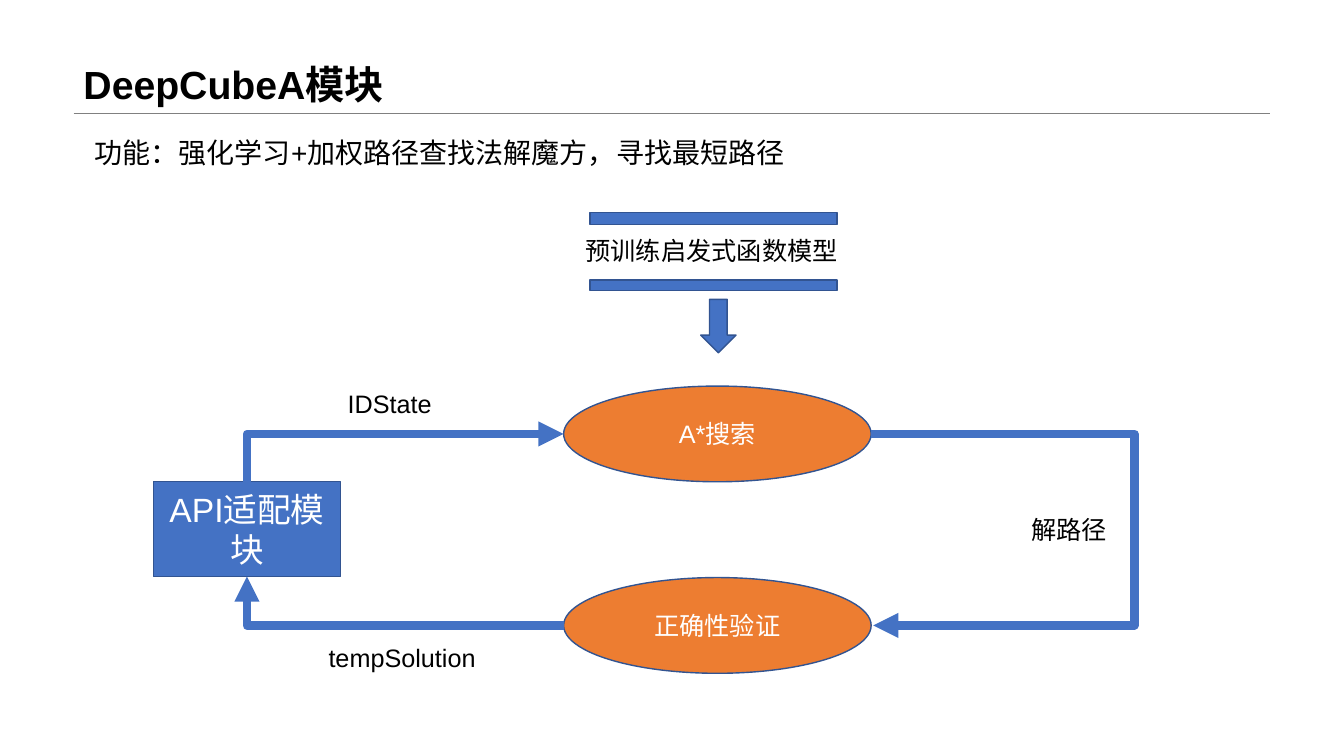
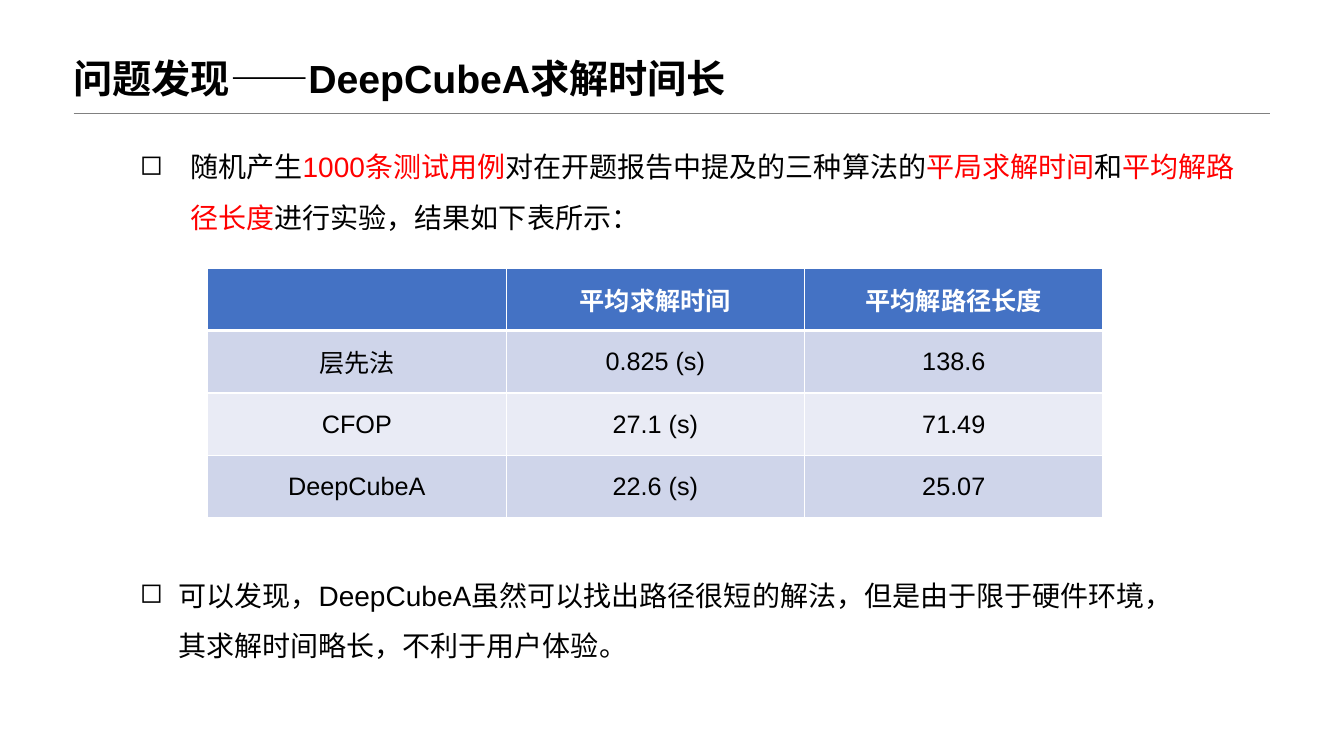
import pptx
import pptx.dml.color
import pptx.enum.shapes
import pptx.enum.text
import pptx.oxml
import pptx.oxml.ns
import pptx.util
import lxml.etree

Inches = pptx.util.Inches
Pt = pptx.util.Pt
SHAPE = pptx.enum.shapes.MSO_SHAPE
CONNECTOR = pptx.enum.shapes.MSO_CONNECTOR
ANCHOR = pptx.enum.text.MSO_ANCHOR
ALIGN = pptx.enum.text.PP_ALIGN
qn = pptx.oxml.ns.qn

FONT = "Arial"
BLACK, WHITE, RED, GRAY = "000000", "FFFFFF", "FF0000", "808080"
BLUE, ORANGE, OUTLINE = "4472C4", "ED7D31", "325491"
BANDS = ("CFD5EA", "E9EBF5")
TITLE = {"size": Pt(28), "bold": True}
BODY = {"size": Pt(20)}
LABEL = {"size": Pt(18)}
MODULE = {"size": Pt(24)}


def color(value):
    return pptx.dml.color.RGBColor.from_string(value)


def apply(target, values):
    for name, value in values.items():
        setattr(target, name, value)


def add_child(parent, tag, **attributes):
    child = lxml.etree.SubElement(parent, qn(tag))
    for name, value in attributes.items():
        child.set(name, str(value))
    return child


def write(frame, spans, style, layout=None, bullet_indent=None):
    para = frame.paragraphs[0]
    if bullet_indent:
        properties = para._p.get_or_add_pPr()
        properties.set("marL", str(Inches(bullet_indent)))
        properties.set("indent", str(-Inches(bullet_indent)))
        add_child(properties, "a:buChar", char="◻")
    apply(para, layout or {})
    for text, ink in spans:
        span = para.add_run()
        span.text = text
        apply(span.font, {"name": FONT, **style})
        span.font.color.rgb = color(ink)


def add_text(page, place, spans, style, frame_format=None, **options):
    box = page.shapes.add_textbox(*map(Inches, place))
    apply(box.text_frame, {"word_wrap": True, **(frame_format or {})})
    write(box.text_frame, spans, style, **options)


def add_block(page, kind, place, fill, text="", style=LABEL):
    block = page.shapes.add_shape(kind, *map(Inches, place))
    block.shadow.inherit = False
    block.fill.solid()
    block.fill.fore_color.rgb = color(fill)
    block.line.color.rgb = color(OUTLINE)
    block.line.width = Pt(1)
    if text:
        apply(block.text_frame, {"word_wrap": True, "vertical_anchor": ANCHOR.MIDDLE})
        write(block.text_frame, [(text, WHITE)], style, {"alignment": ALIGN.CENTER})
    return block


def add_line(page, kind, start, end, ink, width):
    line = page.shapes.add_connector(kind, *start, *end)
    line.line.color.rgb = color(ink)
    line.line.width = Pt(width)
    add_child(line._element.spPr, "a:effectLst")
    return line


def add_elbow(page, start, end, arrow_tag, preset="bentConnector2", bend=None):
    elbow = add_line(page, CONNECTOR.ELBOW, start, end, BLUE, 6)
    add_child(elbow.line._get_or_add_ln(), arrow_tag, type="triangle")
    geometry = elbow._element.spPr.find(qn("a:prstGeom"))
    geometry.set("prst", preset)
    if bend:
        guides = geometry.find(qn("a:avLst"))
        if guides is None:
            guides = add_child(geometry, "a:avLst")
        add_child(guides, "a:gd", name="adj1", fmla=f"val {bend}")
    return elbow


def glue(elbow, start_shape, start_site, end_shape, end_site):
    links = elbow._element.find(qn("p:nvCxnSpPr")).find(qn("p:cNvCxnSpPr"))
    add_child(links, "a:stCxn", id=start_shape.shape_id, idx=start_site)
    add_child(links, "a:endCxn", id=end_shape.shape_id, idx=end_site)


def side(shape, across, down):
    return (shape.left + int(shape.width * across), shape.top + int(shape.height * down))


def add_page(deck, title, place):
    page = deck.slides.add_slide(deck.slide_layouts[6])
    rule = [(Inches(x), Inches(1.12)) for x in (0.73, 12.6)]
    add_line(page, CONNECTOR.STRAIGHT, *rule, GRAY, 0.25)
    add_text(page, place, [(title, BLACK)], TITLE,
             {"vertical_anchor": ANCHOR.BOTTOM}, layout={"line_spacing": 0.9})
    return page


def add_borders(cell, bottom):
    properties = cell._tc.get_or_add_tcPr()
    for position, (edge, width) in enumerate((("L", 1), ("R", 1), ("T", 1), ("B", bottom))):
        border = pptx.oxml.parse_xml(
            f'<a:ln{edge} {pptx.oxml.ns.nsdecls("a")} w="{Pt(width)}"><a:solidFill>'
            f'<a:srgbClr val="{WHITE}"/></a:solidFill></a:ln{edge}>')
        properties.insert(position, border)


def add_results(page, rows, left, top, column_width, row_height):
    columns = len(rows[0])
    size = (column_width * columns, row_height * len(rows))
    table = page.shapes.add_table(len(rows), columns, *map(Inches, (left, top, *size))).table
    for row_number, row in enumerate(rows):
        header = row_number == 0
        for column_number, text in enumerate(row):
            cell = table.cell(row_number, column_number)
            cell.vertical_anchor = ANCHOR.MIDDLE
            cell.fill.solid()
            cell.fill.fore_color.rgb = color(BLUE if header else BANDS[(row_number - 1) % 2])
            add_borders(cell, 3 if header else 1)
            if text:
                write(cell.text_frame, [(text, WHITE if header else BLACK)],
                      {**LABEL, "bold": header}, {"alignment": ALIGN.CENTER})


def build_module_page(deck):
    page = add_page(deck, "DeepCubeA模块", (0.73, 0, 11.87, 1.12))
    add_text(page, (0.84, 1.3, 7.22, 0.44),
             [("功能：强化学习+加权路径查找法解魔方，寻找最短路径", BLACK)], BODY)
    adapter = add_block(page, SHAPE.RECTANGLE, (1.52, 4.78, 1.86, 0.94), BLUE,
                        "API适配模块", MODULE)
    search, check = [add_block(page, SHAPE.OVAL, (5.59, top, 3.05, 0.95), ORANGE, text)
                     for top, text in ((3.83, "A*搜索"), (5.73, "正确性验证"))]
    for top, height in ((2.11, 0.12), (2.78, 0.1)):
        add_block(page, SHAPE.RECTANGLE, (5.85, top, 2.45, height), BLUE)
    add_block(page, SHAPE.DOWN_ARROW, (6.95, 2.97, 0.35, 0.53), BLUE)

    state = add_elbow(page, side(search, 0, 0.5), side(adapter, 0.5, 0), "a:headEnd")
    glue(state, search, 2, adapter, 0)
    solution = add_elbow(page, side(check, 0, 0.5), side(adapter, 0.5, 1), "a:tailEnd")
    glue(solution, check, 2, adapter, 2)
    start, (end_x, end_y) = side(search, 1, 0.5), side(check, 1, 0.5)
    gap = Inches(0.02)
    bend = round((Inches(11.24) - start[0]) / gap * 100000)
    add_elbow(page, start, (end_x + gap, end_y), "a:tailEnd", "bentConnector3", bend)

    add_text(page, (5.71, 2.29, 2.73, 0.4), [("预训练启发式函数模型", BLACK)], LABEL,
             {"word_wrap": False})
    for text, left, top, width in (("IDState", 3.35, 3.8, 1.19),
                                   ("tempSolution", 3.16, 6.32, 1.72),
                                   ("解路径", 10.13, 5.05, 1.19)):
        add_text(page, (left, top, width, 0.4), [(text, BLACK)], LABEL)


def build_problem_page(deck):
    page = add_page(deck, "问题发现——DeepCubeA求解时间长", (0.63, 0.38, 11.75, 0.68))
    add_results(page, [("", "平均求解时间", "平均解路径长度"),
                       ("层先法", "0.825 (s)", "138.6"),
                       ("CFOP", "27.1 (s)", "71.49"),
                       ("DeepCubeA", "22.6 (s)", "25.07")], 2.06, 2.66, 2.96, 0.62)
    experiment = [("随机产生", BLACK), ("1000条测试用例", RED),
                  ("对在开题报告中提及的三种算法的", BLACK), ("平局求解时间", RED),
                  ("和", BLACK), ("平均解路径长度", RED),
                  ("进行实验，结果如下表所示：", BLACK)]
    finding = [("可以发现，DeepCubeA虽然可以找出路径很短的解法，但是由于限于硬件环境，"
                "其求解时间略长，不利于用户体验。", BLACK)]
    for place, spans, indent in (((1.29, 1.27, 11.16, 1.05), experiment, 0.5),
                                 ((1.29, 5.52, 10.56, 1.55), finding, 0.38)):
        add_text(page, place, spans, BODY, layout={"line_spacing": 1.5}, bullet_indent=indent)


def main():
    deck = pptx.Presentation()
    apply(deck, {"slide_width": Inches(13.33), "slide_height": Inches(7.5)})
    build_module_page(deck)
    build_problem_page(deck)
    deck.save("out.pptx")


if __name__ == "__main__":
    main()
